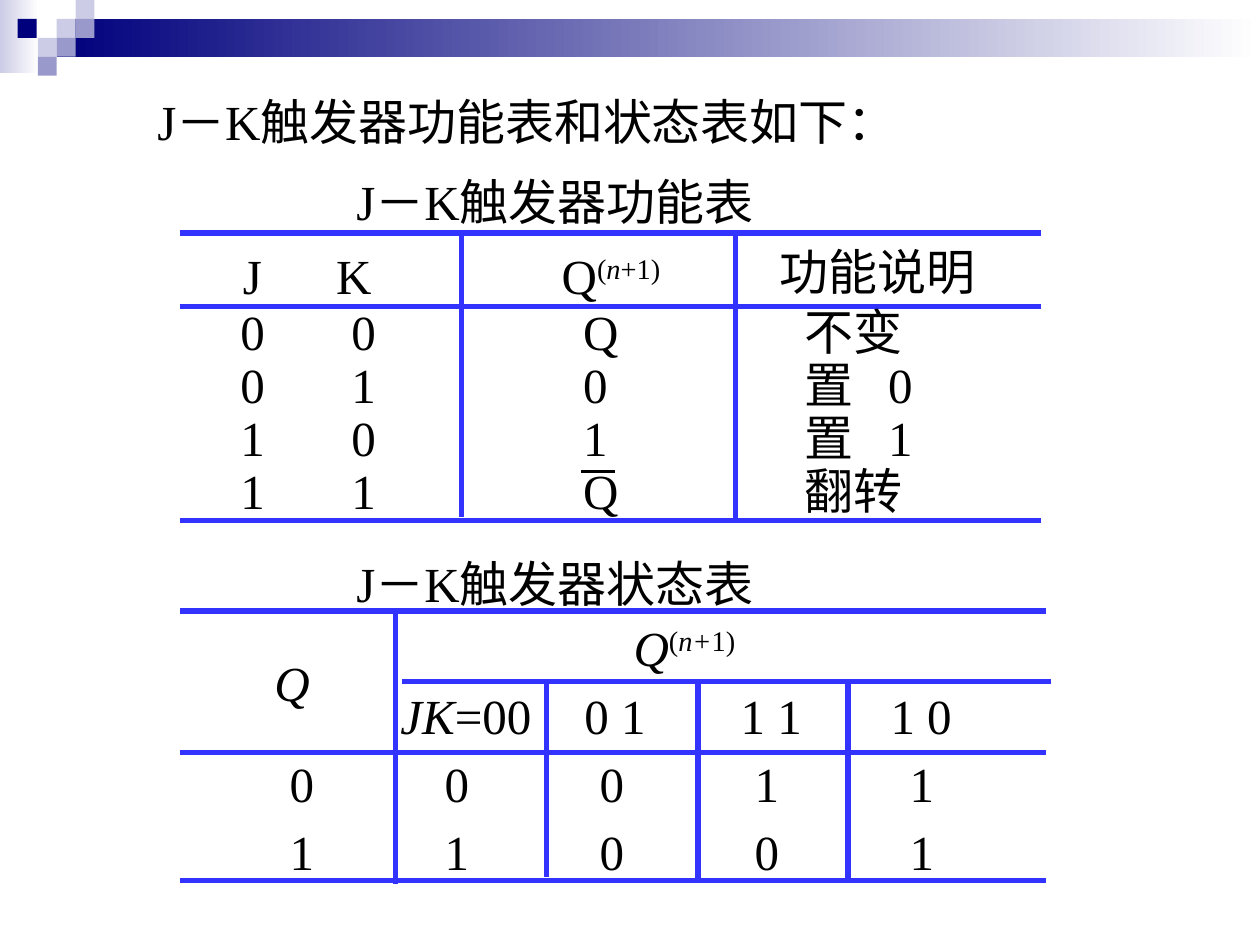
from dataclasses import dataclass

from lxml.etree import SubElement
from pptx import Presentation
from pptx.dml.color import RGBColor
from pptx.enum.shapes import MSO_CONNECTOR, MSO_SHAPE
from pptx.enum.text import MSO_AUTO_SIZE
from pptx.oxml.ns import qn
from pptx.util import Inches, Pt


@dataclass(frozen=True)
class Theme:
    font: str = "Times New Roman"
    size: int = 28
    text: str = "000000"
    rule: str = "3333FF"
    navy: str = "00007D"
    lavender: str = "CCCCE6"
    violet: str = "9999CC"
    white: str = "FFFFFF"
    rule_width: float = 3
    overline_width: float = 1.5


THEME = Theme()

# Header decoration: left, top, width, height, start colour of the fade
BANDS = [(0, 0, 0.31, 0.58, THEME.lavender), (0.45, 0.15, 9.55, 0.3, THEME.navy)]
SQUARE = 0.15
SQUARES = [
    (0.45, 0.15, THEME.lavender), (0.6, 0, THEME.lavender),
    (0.6, 0.15, THEME.violet), (0.3, 0.3, THEME.lavender),
    (0.14, 0.15, THEME.navy), (0.45, 0.3, THEME.violet),
    (0.3, 0.45, THEME.violet),
]

# Text, left, top, width
HEADINGS = [
    ("J－K触发器功能表和状态表如下：", 1.15, 0.68, 6.35),
    ("J－K触发器功能表", 2.73, 1.31, 3.63),
    ("J－K触发器状态表", 2.73, 4.34, 3.63),
]

# A paragraph is a string or a list of (text, style); i = italic, s = superscript
# Function table: paragraphs, left, top, width, tab stop
FUNCTION_HEADERS = [
    (["J\tK"], 1.83, 1.85, 1.21, 0.74),
    ([[("Q", ""), ("(", "s"), ("n", "is"), ("+1)", "s")]], 4.36, 1.85, 0.98, None),
    (["功能说明"], 6.09, 1.82, 1.75, None),
]
FUNCTION_COLUMNS = [
    (["0\t0", "0\t1", "1\t0", "1\t1"], 1.81, 2.4, 1.27, 0.88),
    (["Q", "0", "1", "Q"], 4.53, 2.4, 0.58, None),
    (["不变", "置\t0", "置\t1", "翻转"], 6.29, 2.4, 1.05, 0.66),
]
FUNCTION_RULES = [(1.43, y, 8.26, y) for y in (1.85, 2.43, 4.13)] + [
    (3.66, 1.85, 3.66, 4.1), (5.84, 1.83, 5.84, 4.14),
]
OVERLINE = (4.61, 3.74, 4.88, 3.74)

# State table: paragraph, left, top, width
STATE_HEADERS = [
    ([("Q", "i")], 2.08, 5.13, 0.48),
    ([("Q", "i"), ("(", "s"), ("n+", "is"), ("1)", "s")], 4.93, 4.85, 1),
    ([("JK", "i"), ("=00", "")], 3.08, 5.39, 1.24),
    ("0 1", 4.54, 5.39, 0.68),
    ("1 1", 5.78, 5.39, 0.68),
    ("1 0", 6.97, 5.39, 0.68),
]
STATE_ROWS = ["00011", "11001"]
STATE_LEFT, STATE_TOP, STATE_STEP_X, STATE_STEP_Y = 2.2, 5.93, 1.23, 0.54
STATE_RULES = [(1.43, y, 8.3, y) for y in (4.85, 5.97, 6.99)] + [
    (3.19, 5.41, 8.34, 5.41), (3.14, 4.86, 3.14, 7.02), (4.34, 5.4, 4.34, 6.96),
    (5.54, 5.39, 5.54, 6.99), (6.73, 5.39, 6.73, 6.98),
]

TEXT_SLACK = 0.12  # extra box width that keeps each line unbroken


def color(value):
    return RGBColor.from_string(value)


def add_block(slide, left, top, width, height, start, end=None):
    """Add a borderless rectangle, fading to the end colour when one is given."""
    shape = slide.shapes.add_shape(
        MSO_SHAPE.RECTANGLE, Inches(left), Inches(top), Inches(width), Inches(height))
    shape.shadow.inherit = False
    shape.line.fill.background()
    if end:
        shape.fill.gradient()
        shape.fill.gradient_angle = 0
        for stop, position, value in zip(shape.fill.gradient_stops, (0, 1), (start, end)):
            stop.position = position
            stop.color.rgb = color(value)
    else:
        shape.fill.solid()
        shape.fill.fore_color.rgb = color(start)


def add_rule(slide, ends, value=THEME.rule, width=THEME.rule_width):
    line = slide.shapes.add_connector(MSO_CONNECTOR.STRAIGHT, *map(Inches, ends))
    line.line.color.rgb = color(value)
    line.line.width = Pt(width)
    SubElement(line._element.spPr, qn("a:effectLst"))


def add_text(slide, paragraphs, left, top, width, height=0.57, spacing=None, tab=None):
    box = slide.shapes.add_textbox(
        Inches(left), Inches(top), Inches(width + TEXT_SLACK), Inches(height))
    frame = box.text_frame
    frame.word_wrap = True
    frame.auto_size = MSO_AUTO_SIZE.SHAPE_TO_FIT_TEXT
    for index, content in enumerate(paragraphs):
        paragraph = frame.add_paragraph() if index else frame.paragraphs[0]
        if spacing:
            paragraph.line_spacing = spacing
        if tab:
            tabs = SubElement(paragraph._p.get_or_add_pPr(), qn("a:tabLst"))
            SubElement(tabs, qn("a:tab"), pos=str(Inches(tab)), algn="l")
        segments = [(content, "")] if isinstance(content, str) else content
        for text, style in segments:
            run = paragraph.add_run()
            run.text = text
            run.font.name = THEME.font
            run.font.size = Pt(THEME.size)
            run.font.color.rgb = color(THEME.text)
            run.font.italic = "i" in style
            if "s" in style:
                run._r.get_or_add_rPr().set("baseline", "30000")


def add_header(slide):
    for left, top, width, height, start in BANDS:
        add_block(slide, left, top, width, height, start, THEME.white)
    for left, top, value in SQUARES:
        add_block(slide, left, top, SQUARE, SQUARE, value)


def add_function_table(slide):
    for ends in FUNCTION_RULES:
        add_rule(slide, ends)
    for paragraphs, left, top, width, tab in FUNCTION_HEADERS:
        add_text(slide, paragraphs, left, top, width, 0.62, 1.1, tab)
    for paragraphs, left, top, width, tab in FUNCTION_COLUMNS:
        add_text(slide, paragraphs, left, top, width, 1.78, 0.9, tab)
    add_rule(slide, OVERLINE, THEME.text, THEME.overline_width)


def add_state_table(slide):
    for ends in STATE_RULES:
        add_rule(slide, ends)
    for paragraph, left, top, width in STATE_HEADERS:
        add_text(slide, [paragraph], left, top, width)
    for row, values in enumerate(STATE_ROWS):
        for column, value in enumerate(values):
            add_text(slide, [value], STATE_LEFT + column * STATE_STEP_X,
                     STATE_TOP + row * STATE_STEP_Y, 0.39)


def main():
    presentation = Presentation()
    presentation.slide_width, presentation.slide_height = Inches(10), Inches(7.5)
    slide = presentation.slides.add_slide(presentation.slide_layouts[6])
    add_header(slide)
    for text, left, top, width in HEADINGS:
        add_text(slide, [text], left, top, width)
    add_state_table(slide)
    add_function_table(slide)
    presentation.save("out.pptx")


if __name__ == "__main__":
    main()
